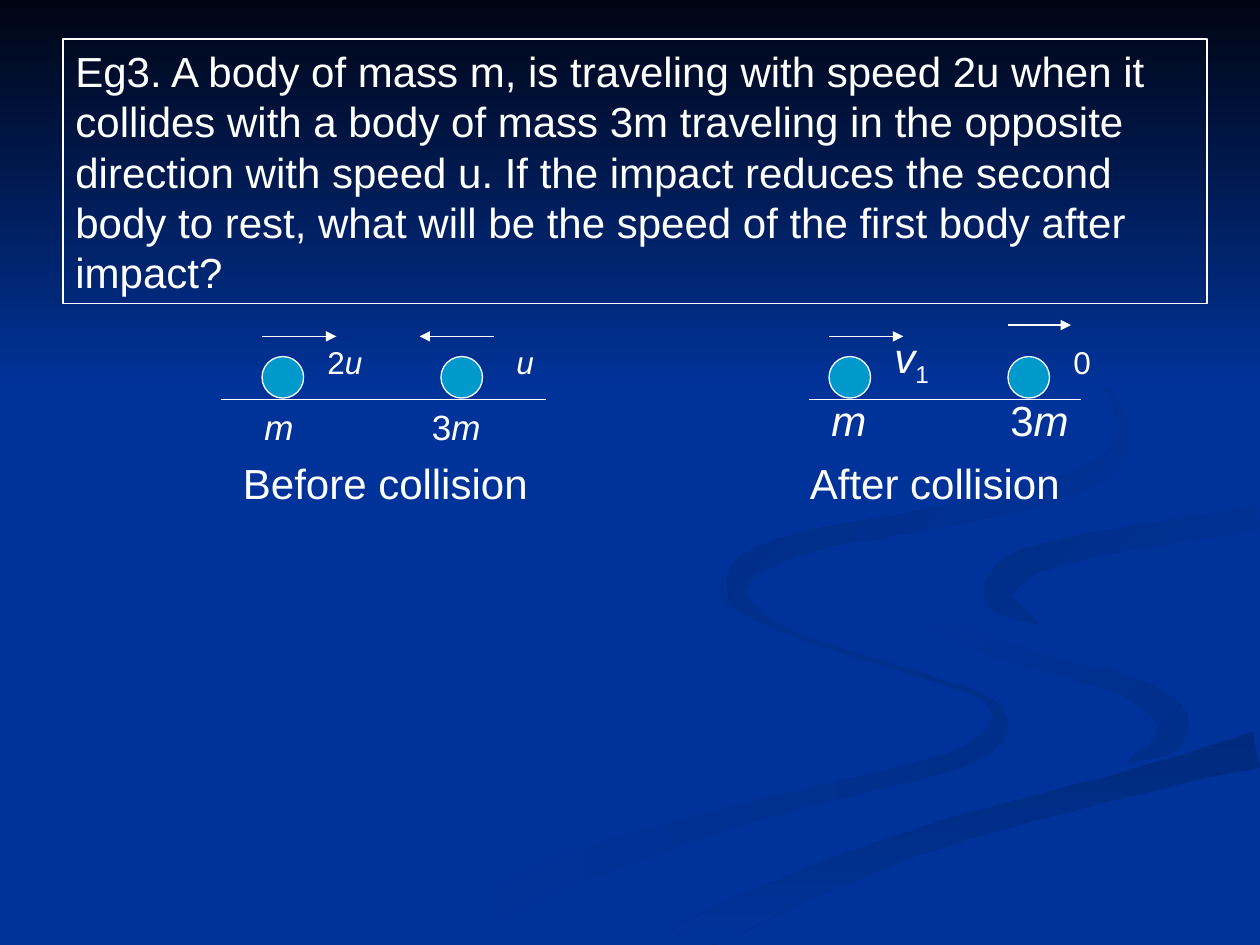
from math import hypot

from lxml import etree
from pptx import Presentation, util as u
from pptx.dml.color import RGBColor
from pptx.enum import shapes, text
from pptx.oxml import ns

PX = 9144
WIDE, TALL = 1000, 750
BALL = 33
FIRST, SECOND = 25, 167
LINE = {18: 40, 20: 44, 24: 50}
STEPS = 6

WHITE = RGBColor(0xFF, 0xFF, 0xFF)
BLUE = RGBColor(0x00, 0x33, 0x99)
CYAN = RGBColor(0x00, 0x99, 0xCC)
NIGHT = RGBColor(0x00, 0x05, 0x14)
DUSK = RGBColor(0x00, 0x2E, 0x8B)
DEEP = RGBColor(0x00, 0x2A, 0x7D)
SHADE = RGBColor(0x00, 0x2D, 0x86)
DARK = RGBColor(0x00, 0x2B, 0x82)

TASK = ("Eg3. A body of mass m, is traveling with speed 2u when it collides "
        "with a body of mass 3m traveling in the opposite direction with "
        "speed u. If the impact reduces the second body to rest, what will "
        "be the speed of the first body after impact?")


def place(*nums):
    """Turn px lengths into EMU."""
    return [round(n * PX) for n in nums]


def write(shape, *runs, size=24):
    """Fill a shape with (text, style) runs in white Arial."""
    frame = shape.text_frame
    frame.word_wrap = True
    frame.auto_size = text.MSO_AUTO_SIZE.SHAPE_TO_FIT_TEXT
    para = frame.paragraphs[0]
    para.alignment = text.PP_ALIGN.LEFT
    for words, style in runs:
        run = para.add_run()
        run.text = words
        run.font.name = "Arial"
        run.font.size = u.Pt(size)
        run.font.color.rgb = WHITE
        run.font.italic = style == "italic"
        if style == "sub":
            run._r.get_or_add_rPr().set("baseline", "-25000")


def label(slide, x, y, w, *runs, size=24):
    """Place a one-line text box."""
    box = slide.shapes.add_textbox(*place(x, y, w, LINE[size]))
    write(box, *runs, size=size)


def outline(shape):
    """Give a shape or connector a thin white line."""
    shape.line.color.rgb = WHITE
    shape.line.width = u.Pt(0.75)


def rule(slide, start, end, y, head=False):
    """Draw a level line, with an arrowhead at its end if asked."""
    line = slide.shapes.add_connector(
        shapes.MSO_CONNECTOR.STRAIGHT, *place(start, y, end, y))
    outline(line)
    etree.SubElement(line._element.spPr, ns.qn("a:effectLst"))
    if head:
        tip = etree.SubElement(line.line._get_or_add_ln(), ns.qn("a:tailEnd"))
        tip.set("type", "triangle")


def shade(shape, start, end, angle):
    """Fill a shape with one colour or a two-stop gradient, clockwise."""
    shape.shadow.inherit = False
    shape.line.fill.background()
    if start == end:
        shape.fill.solid()
        shape.fill.fore_color.rgb = start
        return
    shape.fill.gradient()
    shape.fill.gradient_angle = -angle % 360
    for spot, (stop, color) in enumerate(
            zip(shape.fill.gradient_stops, (start, end))):
        stop.color.rgb = color
        stop.position = spot


def blend(a, b, c, d, t):
    """Return the Catmull-Rom value between b and c."""
    return b + t / 2 * (c - a + t * (2 * a - 5 * b + 4 * c - d
                                     + t * (3 * (b - c) + d - a)))


def smooth(knots):
    """Sample a smooth curve through the knots."""
    ends = [knots[0], *knots, knots[-1]]
    curve = [tuple(blend(*axis, step / STEPS) for axis in zip(*ends[i:i + 4]))
             for i in range(len(knots) - 1) for step in range(STEPS)]
    return curve + [knots[-1]]


def ribbon(slide, knots, start, end, angle):
    """Draw a band along (x, y, half width) knots, kept on the slide."""
    curve = smooth(knots)
    left, right = [], []
    for i, (x, y, half) in enumerate(curve):
        back, ahead = curve[max(i - 1, 0)], curve[min(i + 1, len(curve) - 1)]
        dx, dy = ahead[0] - back[0], ahead[1] - back[1]
        span = hypot(dx, dy) or 1
        for side, sign in ((left, 1), (right, -1)):
            side.append((min(x + sign * half * dy / span, WIDE),
                         min(y - sign * half * dx / span, TALL)))
    edge = left + right[::-1]
    form = slide.shapes.build_freeform(*edge[0], scale=PX)
    form.add_line_segments(edge[1:], close=True)
    shade(form.convert_to_shape(), start, end, angle)


def backdrop(slide):
    """Paint the blue ground, the winding ribbons and the night sky."""
    slide.background.fill.solid()
    slide.background.fill.fore_color.rgb = BLUE
    face = [(999, 394, 8), (860, 418, 8), (790, 432, 11), (756, 460, 29),
            (777, 489, 19), (840, 511, 9), (968, 565, 28), (838, 623, 7),
            (700, 662, 8), (624, 688, 7), (490, 749, 12)]
    lower = [(574, 460, 0), (574, 474, 3), (598, 489, 3), (648, 510, 2),
             (735, 537, 2), (781, 554, 2), (793, 574, 7), (780, 592, 8),
             (742, 608, 7), (601, 643, 8), (499, 674, 12), (424, 702, 13),
             (330, 749, 14)]
    hook = [(724, 465, 0), (729, 481, 1), (746, 495, 4), (795, 516, 7),
            (842, 530, 7), (898, 546, 9), (927, 566, 12), (930, 580, 12),
            (920, 593, 8), (894, 605, 0)]
    road = [(540, 749, 15), (640, 702, 12), (748, 662, 10), (903, 620, 10),
            (998, 595, 14)]
    bend = [(998, 411, 9), (888, 429, 9), (832, 441, 10), (807, 451, 12),
            (793, 467, 12), (797, 480, 9), (826, 496, 0)]
    upper = [(762, 233, 0), (808, 255, 1), (864, 292, 1), (887, 324, 3),
             (891, 342, 3), (879, 369, 8), (822, 394, 8), (722, 415, 8),
             (649, 428, 8), (597, 447, 10), (585, 467, 8), (593, 482, 5),
             (622, 500, 0)]
    ribbon(slide, face, BLUE, BLUE, 0)
    ribbon(slide, lower, BLUE, DUSK, 0)
    ribbon(slide, hook, BLUE, DUSK, 45)
    ribbon(slide, road, DEEP, BLUE, 90)
    ribbon(slide, bend, SHADE, BLUE, 45)
    ribbon(slide, upper, DARK, BLUE, 45)
    sky = slide.shapes.add_shape(
        shapes.MSO_SHAPE.RECTANGLE, *place(0, 0, WIDE, 308))
    shade(sky, NIGHT, BLUE, 90)


def problem(slide, x, y, w, h):
    """Place the framed problem statement."""
    box = slide.shapes.add_shape(
        shapes.MSO_SHAPE.RECTANGLE, *place(x, y, w, h))
    box.shadow.inherit = False
    box.fill.background()
    outline(box)
    write(box, (TASK, ""))


def body(slide, x, y):
    """Draw one ball."""
    ball = slide.shapes.add_shape(
        shapes.MSO_SHAPE.OVAL, *place(x, y, BALL, BALL))
    ball.shadow.inherit = False
    ball.fill.solid()
    ball.fill.fore_color.rgb = CYAN
    outline(ball)


def scene(slide, x, y, title, ground, arrows, masses, speeds):
    """Draw two balls on the ground with their arrows and labels."""
    for left in (FIRST, SECOND):
        body(slide, x + left, y + 25)
    rule(slide, x + ground[0], x + ground[1], y + 25 + BALL + 1)
    for start, end, top in arrows:
        rule(slide, x + start, x + end, y + top, head=True)
    for left, top, w, size, *runs in masses + speeds:
        label(slide, x + left, y + top, w, *runs, size=size)
    label(slide, x, y + 100, 250, (title, ""))


def main():
    """Build and save the slide."""
    deck = Presentation()
    deck.slide_width, deck.slide_height = place(WIDE, TALL)
    slide = deck.slides.add_slide(deck.slide_layouts[6])
    backdrop(slide)
    problem(slide, 50, 31, 908, 210)
    mass, speed, three = ("m", "italic"), ("u", "italic"), ("3", "")
    scene(slide, 183, 258, "Before collision", ground=(-8, 250),
          arrows=[(FIRST, 84, 9), (209, 150, 9)],
          masses=[(17, 59, 58, 20, mass), (150, 59, 75, 20, three, mass)],
          speeds=[(67, 9, 58, 18, ("2", ""), speed),
                  (217, 9, 50, 18, speed)])
    scene(slide, 633, 258, "After collision", ground=(9, 225),
          arrows=[(FIRST, 84, 9), (SECOND, 217, 0)],
          masses=[(17, 50, 67, 24, mass), (159, 50, 67, 24, three, mass)],
          speeds=[(67, 0, 67, 24, ("v", "italic"), ("1", "sub")),
                  (209, 9, 108, 18, ("0", ""))])
    deck.save("out.pptx")


if __name__ == "__main__":
    main()
